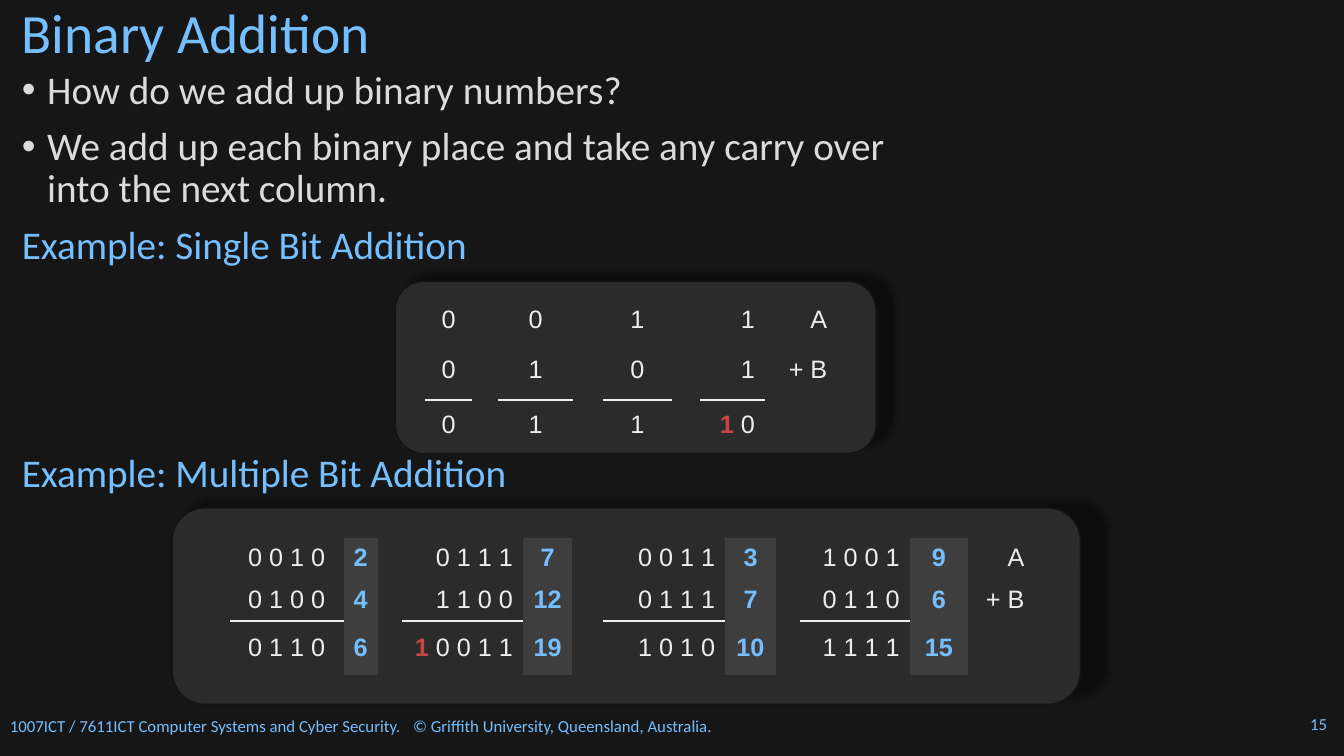
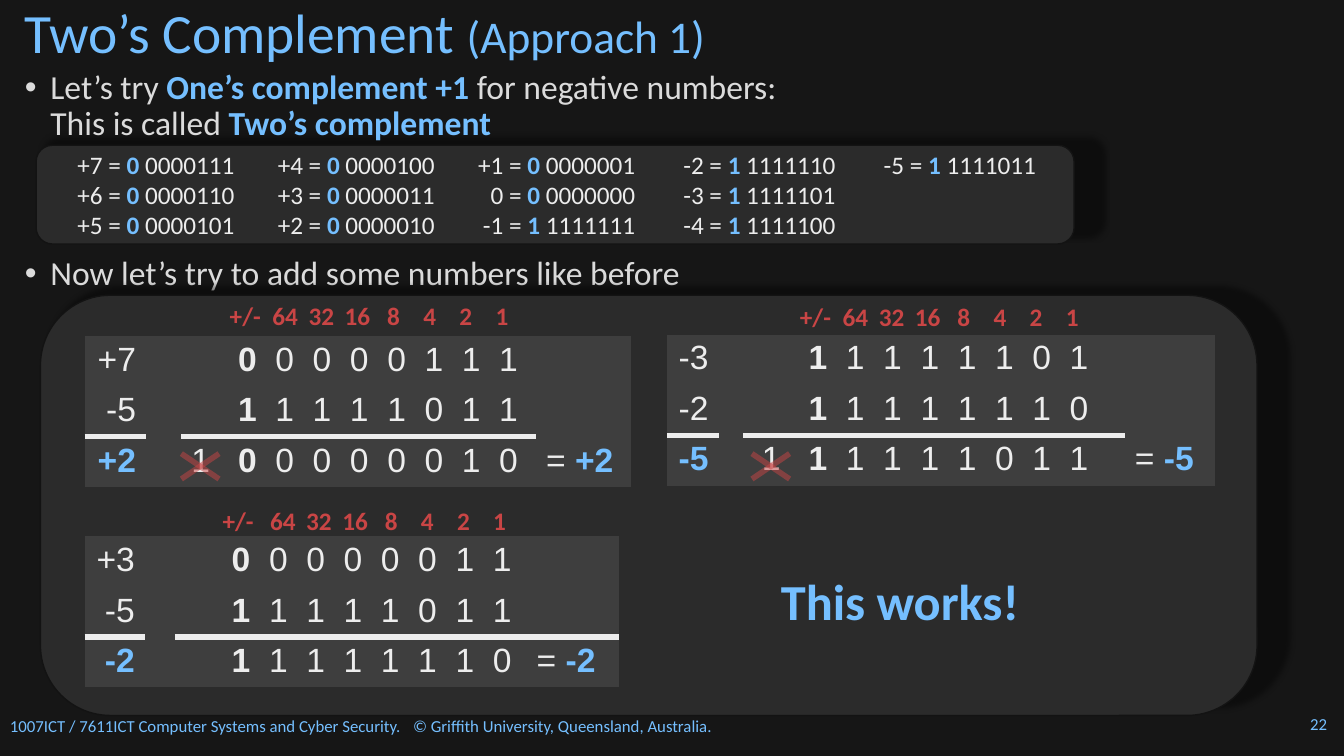
from lxml import etree
from pptx import Presentation
from pptx.dml.color import RGBColor
from pptx.enum import shapes, text
from pptx.oxml import ns
from pptx.util import Cm, Pt

# Shared look
BACKDROP = RGBColor(0x16, 0x16, 0x16)
PANEL = RGBColor(0x2B, 0x2B, 0x2B)
PANEL_EDGE = RGBColor(0x13, 0x13, 0x13)
BAND = RGBColor(0x3E, 0x3E, 0x3E)
BLUE = RGBColor(0x75, 0xBF, 0xFF)
GREY = RGBColor(0xDB, 0xDB, 0xDB)
PALE = RGBColor(0xED, 0xED, 0xED)
RED = RGBColor(0xC9, 0x45, 0x45)
KEY, CARRY, STRONG = (BLUE, True), (RED, True), (PALE, True)
SANS, DIGITS = "Calibri", "Arial"
LEFT, CENTER, RIGHT = text.PP_ALIGN.LEFT, text.PP_ALIGN.CENTER, text.PP_ALIGN.RIGHT
NO_GRID = "{2D5ABB26-0587-4C30-8999-92F81FD0307C}"
FOOTER = ("1007ICT / 7611ICT Computer Systems and Cyber Security.\t"
          "© Griffith University, Queensland, Australia.")

# Content: a text is a string, or a list of strings and (string, style) pairs
ADDITION_BULLETS = [
    "How do we add up binary numbers?",
    "We add up each binary place and take any carry over\ninto the next column.",
]
SINGLE_BIT = [
    ["0", "", "0", "", "1", "", "1", "A"],
    ["0", "", "1", "", "0", "", "1", "+ B"],
    ["0", "", "1", "", "1", "", [("1", CARRY), " 0"], ""],
]
SINGLE_COLS = [1.17, 0.66, 1.9, 0.74, 1.75, 0.69, 1.65, 2.03]
MULTI_BIT = [
    ["0 0 1 0", "2", "", "0 1 1 1", "7", "", "0 0 1 1", "3", "", "1 0 0 1", "9", "A"],
    ["0 1 0 0", "4", "", "1 1 0 0", "12", "", "0 1 1 1", "7", "", "0 1 1 0", "6", "+ B"],
    ["0 1 1 0", "6", "", [("1 ", CARRY), "0 0 1 1"], "19", "",
     "1 0 1 0", "10", "", "1 1 1 1", "15", ""],
]
MULTI_COLS = [2.87, 0.86, 0.58, 3.05, 1.24, 0.79, 3.07, 1.27, 0.58, 2.77, 1.47, 1.88]
COMPLEMENT_BULLET = ["Let’s try ", ("One’s complement +1 ", KEY),
                     "for negative numbers:\nThis is called ", ("Two’s complement", KEY)]
CODED_NUMBERS = range(7, -6, -1)
CODES_PER_COLUMN = 3
PLACES = ["+/-", "64", "32", "16", "8", "4", "2", "1"]
# Sums: the two terms and the result, each with its bits; lengths in cm
SUMS = [
    dict(terms=["+7", "-5", "+2"], bits=["00000111", "11111011", "00000010"], carry="1",
         at=(2.13, 8.46), cols=[1.55, 0.89, 8.94, 2.39], row=1.21, inset=0.25,
         ruled=(0, 2), places=(5.54, 7.44), place_tab=1.4, cross=4.57),
    dict(terms=["-3", "-2", "-5"], bits=["11111101", "11111110", "11111011"], carry="1",
         at=(16.81, 8.43), cols=[1.3, 0.58, 9.63, 2.26], row=1.27, inset=0.48,
         ruled=(0, 2), places=(19.91, 7.47), place_tab=1.4, cross=18.95),
    dict(terms=["+3", "-5", "-2"], bits=["00000011", "11111011", "11111110"], carry="",
         at=(2.13, 13.51), cols=[1.52, 0.76, 8.86, 2.34], row=1.27, inset=0.25,
         ruled=(0, 2, 3), places=(5.36, 12.6), place_tab=1.52, cross=None),
]


def child(parent, tag, **attributes):
    element = etree.SubElement(parent, ns.qn(tag))
    for key, value in attributes.items():
        element.set(key, str(value))
    return element


def tab_stops(start, pitch, count, align="l"):
    return [(Cm(start + pitch * i), align) for i in range(count)]


def fill_paragraph(paragraph, content, size, colour, bold=False, font=SANS,
                   align=LEFT, tabs=(), bullet=False):
    paragraph.alignment = align
    props = paragraph._p.get_or_add_pPr()
    if bullet:
        props.set("marL", str(Cm(0.64)))
        props.set("indent", str(-Cm(0.64)))
        child(props, "a:buFont", typeface=DIGITS)
        child(props, "a:buChar", char="•")
    if tabs:
        stops = child(props, "a:tabLst")
        for position, kind in tabs:
            child(stops, "a:tab", pos=int(position), algn=kind)
    paragraph.font.name, paragraph.font.size = font, Pt(size)
    paragraph.font.color.rgb, paragraph.font.bold = colour, bold
    for part in [content] if isinstance(content, str) else content:
        words, style = (part, None) if isinstance(part, str) else part
        for i, line in enumerate(words.split("\n")):
            if i:
                paragraph.add_line_break()
            if not line:
                continue
            run = paragraph.add_run()
            run.text = line
            if style:
                run.font.color.rgb, run.font.bold = style


def add_text(slide, box, contents, size, colour, spacing=None, before=0,
             anchor=text.MSO_ANCHOR.TOP, wrap=True, **look):
    frame = slide.shapes.add_textbox(*map(Cm, box)).text_frame
    frame.word_wrap, frame.vertical_anchor = wrap, anchor
    for i, content in enumerate(contents):
        paragraph = frame.add_paragraph() if i else frame.paragraphs[0]
        if spacing:
            paragraph.line_spacing = spacing
        if i and before:
            paragraph.space_before = Pt(before)
        fill_paragraph(paragraph, content, size, colour, **look)
    return frame


def add_body(slide, box, contents, size, colour=GREY, bullet=True):
    return add_text(slide, box, contents, size, colour, spacing=0.9, before=10, bullet=bullet)


def add_panel(slide, box, corner=0.16667):
    panel = slide.shapes.add_shape(shapes.MSO_SHAPE.ROUNDED_RECTANGLE, *map(Cm, box))
    panel.adjustments[0] = corner
    panel.fill.solid()
    panel.fill.fore_color.rgb = PANEL
    panel.line.color.rgb, panel.line.width = PANEL_EDGE, Pt(1)
    panel.shadow.inherit = False
    effects = panel._element.spPr.find(ns.qn("a:effectLst"))
    shade = child(effects, "a:outerShdw", blurRad=Pt(4), dist=Pt(8), dir=315 * 60000,
                  sx=102000, sy=100000, algn="bl", rotWithShape=0)
    child(child(shade, "a:srgbClr", val="000000"), "a:alpha", val=40000)


def draw_edge(cell, tag, width):
    edge = etree.Element(ns.qn(tag), w=str(Pt(width)))
    child(child(edge, "a:solidFill"), "a:srgbClr", val=PALE)
    cell._tc.get_or_add_tcPr().insert(0, edge)


def add_grid(slide, at, cols, row_heights):
    frame = slide.shapes.add_table(len(row_heights), len(cols), Cm(at[0]), Cm(at[1]),
                                   Cm(sum(cols)), Cm(sum(row_heights)))
    grid = frame.table
    grid.first_row = grid.horz_banding = False
    grid._tbl.tblPr.find(ns.qn("a:tableStyleId")).text = NO_GRID
    for column, width in zip(grid.columns, cols):
        column.width = Cm(width)
    for row, height in zip(grid.rows, row_heights):
        row.height = Cm(height)
    return grid


def fill_cell(cell, content, size, shaded, **look):
    if shaded:
        cell.fill.solid()
        cell.fill.fore_color.rgb = BAND
    else:
        cell.fill.background()
    if content:
        look = {"colour": PALE, "font": DIGITS, **look}
        fill_paragraph(cell.text_frame.paragraphs[0], content, size, **look)
    else:
        cell.margin_top = cell.margin_bottom = 0


def rule_off(grid, columns, width):
    for c in columns:
        draw_edge(grid.cell(1, c), "a:lnB", width)
        draw_edge(grid.cell(2, c), "a:lnT", width)


def add_bit_table(slide, at, cols, row_heights, rows, ruled, centred, decimal=()):
    grid = add_grid(slide, at, cols, row_heights)
    for r, row in enumerate(rows):
        for c, content in enumerate(row):
            cell = grid.cell(r, c)
            look = {"align": CENTER if c in centred else RIGHT}
            if c in decimal:
                look.update(colour=BLUE, bold=True)
            if c == len(cols) - 1:
                cell.margin_right = Cm(0.46)
            if r == 2:
                cell.vertical_anchor = text.MSO_ANCHOR.MIDDLE
            fill_cell(cell, content, 18, c in decimal, **look)
    rule_off(grid, ruled, 2.25)


def add_sum(slide, item):
    grid = add_grid(slide, item["at"], item["cols"], [item["row"]] * 3)
    bit_tabs = tab_stops(1.18, 0.94, 8)
    for r, (term, bits) in enumerate(zip(item["terms"], item["bits"])):
        last = r == 2
        sign, rest = bits[0], "".join("\t" + bit for bit in bits[1:])
        binary = [(item["carry"] if last else "") + "\t", (sign, STRONG), rest]
        result = ["= ", (term, KEY)] if last else ""
        grid.cell(r, 2).margin_left = Cm(item["inset"])
        fill_cell(grid.cell(r, 0), [(term, KEY)] if last else term, 24, True, align=RIGHT)
        fill_cell(grid.cell(r, 1), "", 24, True)
        fill_cell(grid.cell(r, 2), binary, 24, True, tabs=bit_tabs)
        fill_cell(grid.cell(r, 3), result, 24, True)
    rule_off(grid, item["ruled"], 4.5)
    add_text(slide, (*item["places"], 8.05, 1.02), ["\t".join(PLACES)], 18, RED, bold=True,
             tabs=tab_stops(item["place_tab"], 0.91, len(PLACES) - 1, "ctr"))
    if item["cross"]:
        cross_out(slide, item["cross"], 11.43, 0.95, 0.64)


def cross_out(slide, left, top, width, height):
    for start, end in ((top, top + height), (top + height, top)):
        stroke = slide.shapes.add_connector(shapes.MSO_CONNECTOR.STRAIGHT, Cm(left),
                                            Cm(start), Cm(left + width), Cm(end))
        stroke.line.color.rgb, stroke.line.width = RED, Pt(4)
        props = stroke._element.spPr
        child(next(props.iter(ns.qn("a:srgbClr"))), "a:alpha", val=50000)
        child(props, "a:effectLst")


def code_line(numbers):
    line = []
    for n in numbers:
        bits = format(n & 0xFF, "08b")
        label = f"{n:+d}" if n else "0"
        line += [f"\t{label} = ", (bits[0] + " ", KEY), bits[1:]]
    return line


def add_page(prs, number, title, title_left):
    slide = prs.slides.add_slide(prs.slide_layouts[6])
    add_text(slide, (0, 17.91, 21.11, 0.76), [FOOTER], 12, BLUE, tabs=[(Cm(10.16), "l")])
    add_text(slide, (32.77, 17.86, 1.09, 0.76), [number], 12, BLUE, wrap=False)
    return slide, lambda: add_text(slide, (title_left, 0.18, 25.25, 1.45), [title], 39.6,
                                   BLUE, spacing=0.9, anchor=text.MSO_ANCHOR.MIDDLE)


def build_addition(prs):
    slide, add_title = add_page(prs, "15", "Binary Addition", 0.3)
    add_title()
    body = add_body(slide, (0.3, 1.65, 25.7, 5.2), ADDITION_BULLETS, 28)
    heading = body.add_paragraph()
    heading.line_spacing, heading.space_before = 0.9, Pt(10)
    fill_paragraph(heading, "Example: Single Bit Addition", 28, BLUE)
    add_panel(slide, (9.96, 7.09, 12.12, 4.34))
    add_bit_table(slide, (10.72, 7.57), SINGLE_COLS, [1.27, 1.24, 1.24], SINGLE_BIT,
                  ruled=(0, 2, 4, 6), centred=(0, 2, 4))
    add_body(slide, (0.3, 11.3, 25.7, 1.3), ["Example: Multiple Bit Addition"], 28,
             BLUE, bullet=False)
    add_panel(slide, (4.34, 12.8, 22.89, 4.95))
    decimal = (1, 4, 7, 10)
    add_bit_table(slide, (5.79, 13.56), MULTI_COLS, [1.07, 0.99, 1.37], MULTI_BIT,
                  ruled=(0, 3, 6, 9), centred=(0, *decimal), decimal=decimal)


def build_complement(prs):
    slide, add_title = add_page(prs, "22", "Two’s Complement ", 0.38)
    # Codes, three to a column
    add_panel(slide, (0.91, 3.66, 26.16, 2.49))
    approach = add_title().paragraphs[0].add_run()
    approach.text, approach.font.size = "(Approach 1)", Pt(32.4)
    add_body(slide, (0.38, 1.65, 29.5, 2.1), [COMPLEMENT_BULLET], 24)
    add_body(slide, (0.38, 6.35, 29.5, 1.2),
             ["Now let’s try to add some numbers like before"], 24)
    lines = [code_line(CODED_NUMBERS[i::CODES_PER_COLUMN]) for i in range(CODES_PER_COLUMN)]
    add_text(slide, (0.38, 3.63, 28.3, 2.57), lines, 18, PALE,
             tabs=tab_stops(5.28, 5.05, 5, "r"))
    # Worked sums
    add_panel(slide, (1.02, 7.44, 30.66, 10.59))
    for item in SUMS:
        add_sum(slide, item)
    add_text(slide, (19.43, 14.25, 6.58, 1.8), ["This works!"], 36, BLUE, bold=True, wrap=False)


def main():
    prs = Presentation()
    prs.slide_width, prs.slide_height = Cm(33.87), Cm(19.05)
    backdrop = prs.slide_master.background.fill
    backdrop.solid()
    backdrop.fore_color.rgb = BACKDROP
    build_addition(prs)
    build_complement(prs)
    prs.save("out.pptx")


if __name__ == "__main__":
    main()
